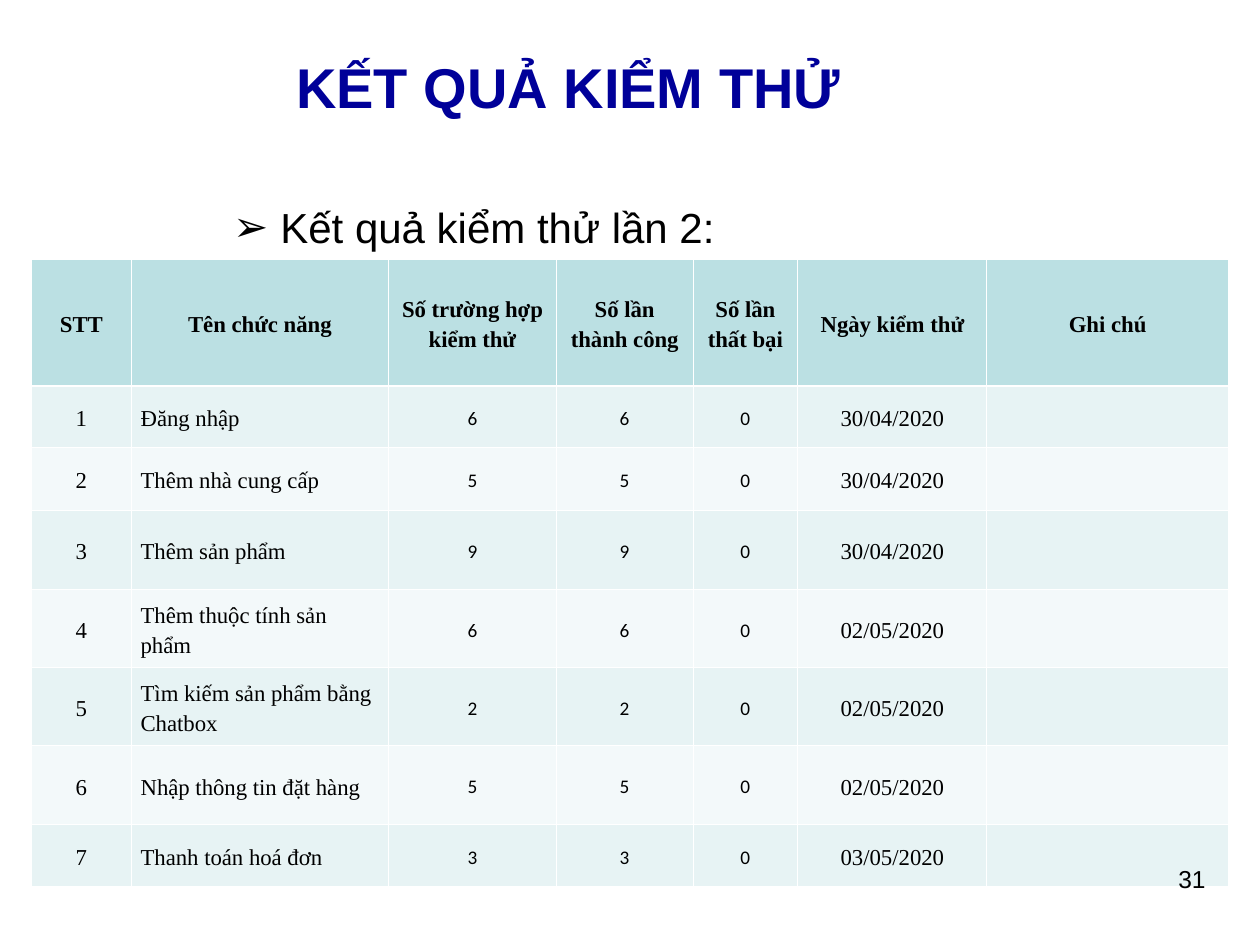
from lxml.etree import SubElement
from pptx import Presentation
from pptx.dml.color import RGBColor
from pptx.enum.text import MSO_ANCHOR, MSO_AUTO_SIZE, PP_ALIGN
from pptx.oxml.ns import qn
from pptx.util import Pt


def add_span(para, text, font, size, color="000000", bold=False):
    span = para.add_run()
    span.text = text
    span.font.name = font
    span.font.size = Pt(size)
    span.font.bold = bold
    span.font.color.rgb = RGBColor.from_string(color)


def add_border(cell, side, width):
    """Draw a white line on one side of a cell; call before filling it."""
    line = SubElement(cell._tc.get_or_add_tcPr(), qn(f"a:ln{side}"), w=str(Pt(width)))
    fill = SubElement(line, qn("a:solidFill"))
    SubElement(fill, qn("a:srgbClr"), val="FFFFFF")


HEADERS = ["STT", "Tên chức năng", "Số trường hợp kiểm thử", "Số lần thành công",
           "Số lần thất bại", "Ngày kiểm thử", "Ghi chú"]
# Function name, number of test cases (all passed), test date
RESULTS = [
    ("Đăng nhập", 6, "30/04/2020"),
    ("Thêm nhà cung cấp", 5, "30/04/2020"),
    ("Thêm sản phẩm", 9, "30/04/2020"),
    ("Thêm thuộc tính sản phẩm", 6, "02/05/2020"),
    ("Tìm kiếm sản phẩm bằng Chatbox", 2, "02/05/2020"),
    ("Nhập thông tin đặt hàng", 5, "02/05/2020"),
    ("Thanh toán hoá đơn", 3, "03/05/2020"),
]
COLUMN_WIDTHS = [57, 147, 96, 78, 60, 108, 138]
ROW_HEIGHTS = [72.5, 35.3, 35.6, 45.2, 37.5, 37.5, 45.2, 35.3]
NAME_COLUMN = 1
COUNT_COLUMNS = (2, 3, 4)

deck = Presentation()
deck.slide_width, deck.slide_height = Pt(720), Pt(540)
page = deck.slides.add_slide(deck.slide_layouts[1])

# Title
title = page.shapes.title
title.left, title.top, title.width, title.height = Pt(162), Pt(12), Pt(558), Pt(74)
title.text_frame.auto_size = MSO_AUTO_SIZE.NONE
title.text_frame.vertical_anchor = MSO_ANCHOR.MIDDLE
para = title.text_frame.paragraphs[0]
para.alignment = PP_ALIGN.LEFT
add_span(para, "KẾT QUẢ KIỂM THỬ", "Arial", 32, "000099", True)

# Bulleted line above the table
subtitle = page.placeholders[1]
subtitle.left, subtitle.top, subtitle.width, subtitle.height = Pt(126), Pt(111.6), Pt(290), Pt(36)
subtitle.text_frame.word_wrap = False
subtitle.text_frame.auto_size = MSO_AUTO_SIZE.SHAPE_TO_FIT_TEXT
para = subtitle.text_frame.paragraphs[0]
para.space_before = Pt(0)
properties = para._p.get_or_add_pPr()
properties.set("marL", str(Pt(27)))
properties.set("indent", str(-Pt(27)))
bullet_color = SubElement(properties, qn("a:buClr"))
SubElement(bullet_color, qn("a:srgbClr"), val="000000")
SubElement(properties, qn("a:buFont"), typeface="Arial")
SubElement(properties, qn("a:buChar"), char="➢")
add_span(para, "Kết quả kiểm thử lần 2:", "Arial", 24)

# Results table
rows = [HEADERS]
for number, (name, count, date) in enumerate(RESULTS, 1):
    rows.append([str(number), name, str(count), str(count), "0", date, ""])
table = page.shapes.add_table(len(rows), len(HEADERS), Pt(18), Pt(148),
                              Pt(sum(COLUMN_WIDTHS)), Pt(sum(ROW_HEIGHTS))).table
for column, width in zip(table.columns, COLUMN_WIDTHS):
    column.width = Pt(width)
for row, height in zip(table.rows, ROW_HEIGHTS):
    row.height = Pt(height)

for row_index, texts in enumerate(rows):
    is_header = row_index == 0
    row_fill = "BBE0E3" if is_header else ("F3F9FA", "E7F3F4")[row_index % 2]
    for column_index, text in enumerate(texts):
        cell = table.cell(row_index, column_index)
        cell.margin_left = cell.margin_right = Pt(5.4)
        cell.vertical_anchor = MSO_ANCHOR.MIDDLE
        add_border(cell, "L", 0.45)
        add_border(cell, "R", 0.45)
        add_border(cell, "T", 1.47 if row_index == 1 else 0.45)
        add_border(cell, "B", 1.47 if is_header else 0.45)
        cell.fill.solid()
        cell.fill.fore_color.rgb = RGBColor.from_string(row_fill)
        if not text:
            continue
        para = cell.text_frame.paragraphs[0]
        is_name = column_index == NAME_COLUMN and not is_header
        para.alignment = PP_ALIGN.LEFT if is_name else PP_ALIGN.CENTER
        para.line_spacing = 1.2
        para.space_before = para.space_after = Pt(6)
        if column_index in COUNT_COLUMNS and not is_header:
            add_span(para, text, "Calibri", 11)
        else:
            add_span(para, text, "Times New Roman", 13, bold=is_header)

# Page number
box = page.shapes.add_textbox(Pt(528), Pt(490.3), Pt(168), Pt(44))
box.text_frame.word_wrap = True
para = box.text_frame.paragraphs[0]
para.alignment = PP_ALIGN.RIGHT
add_span(para, "31", "Arial", 14)

deck.save("out.pptx")
